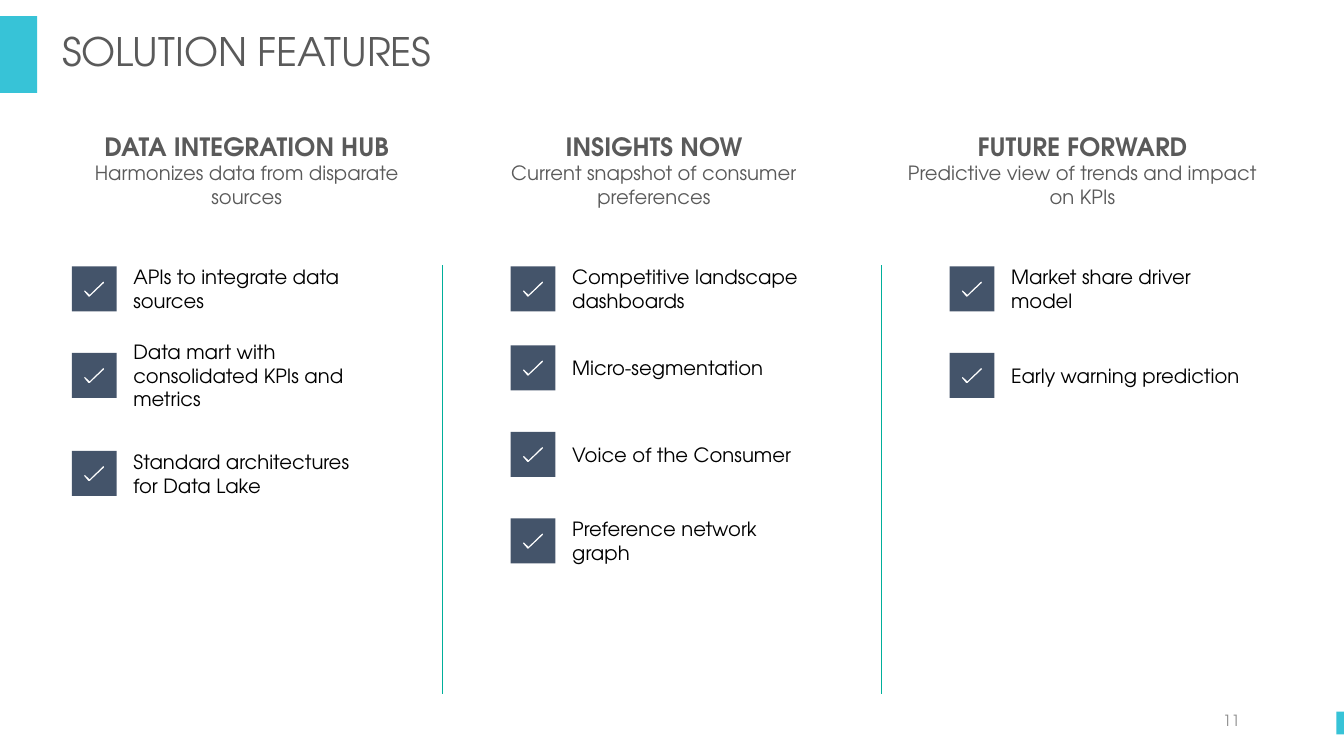
from lxml.etree import SubElement
from pptx import Presentation
from pptx.dml.color import RGBColor
from pptx.enum.shapes import MSO_CONNECTOR, MSO_SHAPE
from pptx.enum.text import MSO_ANCHOR, MSO_AUTO_SIZE, PP_ALIGN
from pptx.oxml.ns import qn
from pptx.util import Cm, Pt

FONT = "TeX Gyre Adventor"
GREY, PALE, BLACK = "5A5A5A", "8C8C8C", "000000"
CYAN, NAVY, TEAL = "37C3D7", "44546A", "00AF9B"

ICON = 1.13          # side of a check box, cm
LINE_HEIGHT = 0.6    # one line of 14 pt text, cm
FIRST_ICON, PITCH = 1.81, 11.06
TICK = [(81, 42), (45, 76), (42, 76), (31, 63), (31, 61),
        (34, 61), (45, 71), (78, 39), (80, 38), (82, 39)]  # 1/100 cm

# Heading, subtitle, heading left, then (text, middle height, lines) per feature
COLUMNS = [
    ("DATA INTEGRATION HUB", "Harmonizes data from disparate sources", 1.32, [
        ("APIs to integrate data sources", 7.28, 2),
        ("Data mart with consolidated KPIs and metrics", 9.46, 3),
        ("Standard architectures for Data Lake", 11.93, 2)]),
    ("INSIGHTS NOW", "Current snapshot of consumer preferences", 11.58, [
        ("Competitive landscape dashboards", 7.28, 2),
        ("Micro-segmentation", 9.27, 1),
        ("Voice of the Consumer", 11.45, 1),
        ("Preference network graph", 13.63, 2)]),
    ("FUTURE FORWARD", "Predictive view of trends and impact on KPIs", 22.38, [
        ("Market share driver model", 7.28, 2),
        ("Early warning prediction", 9.46, 1)]),
]


def rgb(value):
    return RGBColor.from_string(value)


class Deck:
    def __init__(self):
        self.prs = Presentation()
        self.prs.slide_width, self.prs.slide_height = Cm(33.87), Cm(19.05)
        self.s = self.prs.slides.add_slide(self.prs.slide_layouts[6])

    def text(self, box, lines, color, align=PP_ALIGN.LEFT, anchor=MSO_ANCHOR.MIDDLE,
             spacing=None, grow=False, inset=True, shapes=None):
        """Each line is (text, size, bold)."""
        sp = (shapes or self.s.shapes).add_textbox(*map(Cm, box))
        tf = sp.text_frame
        tf.text = "\n".join(line[0] for line in lines)
        tf.word_wrap = True
        tf.vertical_anchor = anchor
        tf.auto_size = MSO_AUTO_SIZE.SHAPE_TO_FIT_TEXT if grow else MSO_AUTO_SIZE.NONE
        if not inset:
            tf.margin_left = tf.margin_top = tf.margin_right = tf.margin_bottom = 0
        for p, (_, size, bold) in zip(tf.paragraphs, lines):
            p.alignment = align
            if spacing:
                p.line_spacing = spacing
            for r in p.runs:
                r.font.name, r.font.size, r.font.bold = FONT, Pt(size), bold
                r.font.color.rgb = rgb(color)

    def paint(self, sp, color):
        sp.shadow.inherit = False
        sp.fill.solid()
        sp.fill.fore_color.rgb = rgb(color)
        sp.line.fill.background()

    def bar(self, *box):
        self.paint(self.s.shapes.add_shape(MSO_SHAPE.RECTANGLE, *map(Cm, box)), CYAN)

    def check(self, shapes, x, y):
        side = ICON * 100
        fb = shapes.build_freeform(0, 0, scale=Cm(0.01))
        fb.add_line_segments([(side, 0), (side, side), (0, side)])
        fb.move_to(*TICK[0])
        fb.add_line_segments(TICK[1:])
        self.paint(fb.convert_to_shape(Cm(x), Cm(y)), NAVY)

    def feature(self, x, middle, label, lines):
        shapes = self.s.shapes.add_group_shape().shapes
        height = lines * LINE_HEIGHT
        self.text((x + 1.55, middle - height / 2, 6.07, height), [(label, 14, False)],
                  BLACK, grow=True, inset=False, shapes=shapes)
        self.check(shapes, x, middle - ICON / 2)

    def divider(self, x):
        line = self.s.shapes.add_connector(
            MSO_CONNECTOR.STRAIGHT, Cm(x), Cm(6.68), Cm(x), Cm(17.5))
        line.line.color.rgb = rgb(TEAL)
        line.line.width = Pt(0.5)
        SubElement(line._element.spPr, qn("a:effectLst"))


def main():
    deck = Deck()

    # Title, page number and accent bars
    deck.text((23.88, 17.65, 7.62, 1.02), [("11", 11, False)], PALE, PP_ALIGN.RIGHT)
    deck.text((1.32, 0.15, 28.5, 2.41), [("SOLUTION FEATURES", 28, False)], GREY, spacing=0.9)
    deck.bar(0, 0.41, 0.94, 1.93)
    deck.bar(33.68, 17.93, 0.19, 0.58)

    # Three columns of checked features
    for i, (heading, subtitle, left, features) in enumerate(COLUMNS):
        deck.text((left, 3.18, 9.8, 2.24), [(heading, 18, True), (subtitle, 14, False)],
                  GREY, PP_ALIGN.CENTER, MSO_ANCHOR.TOP, grow=True)
        for label, middle, lines in features:
            deck.feature(FIRST_ICON + i * PITCH, middle, label, lines)

    # Dividers between the columns
    for i in range(len(COLUMNS) - 1):
        deck.divider(11.15 + i * PITCH)

    deck.prs.save("out.pptx")


if __name__ == "__main__":
    main()
